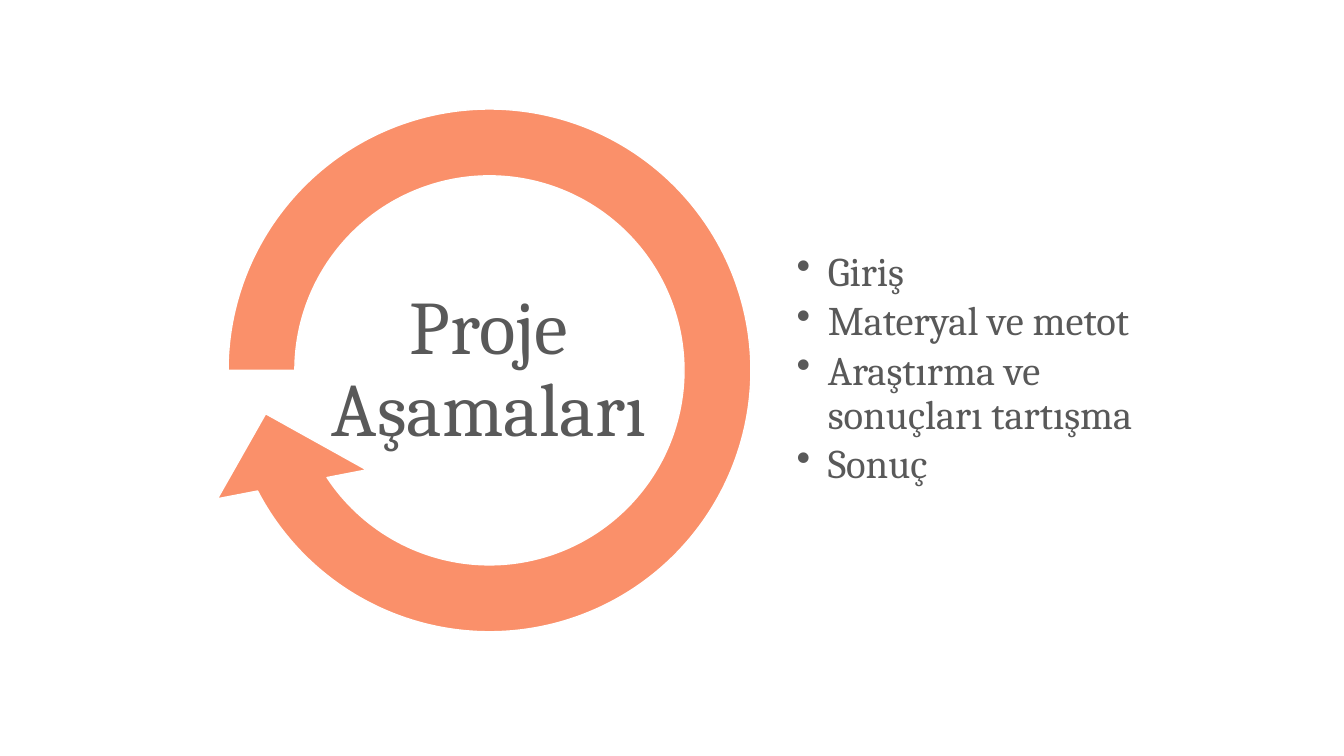
from lxml.etree import SubElement
from pptx import Presentation
from pptx.dml.color import RGBColor
from pptx.enum.shapes import MSO_SHAPE as Shape
from pptx.enum.text import MSO_ANCHOR as Anchor, PP_ALIGN as Align
from pptx.oxml.ns import qn
from pptx.util import Inches, Pt

COLOURS = {"ring": "FA906A", "edge": "FFFFFF", "text": "595959"}
FORMATS = {
    "title": {"name": "Cambria", "size": Pt(54)},
    "list": {"name": "Cambria", "size": Pt(29)},
}
STAGES = ["Giriş", "Materyal ve metot", "Araştırma ve sonuçları tartışma", "Sonuç"]
# Thickness, head angle, end angle, start angle and head width
RING_ADJUSTMENTS = [0.11, 11.42, 90, 108, 0.125]


def colour(name):
    return RGBColor.from_string(COLOURS[name])


def add_ring(page, left, top, size):
    ring = page.shapes.add_shape(
        Shape.CIRCULAR_ARROW, Inches(left), Inches(top), Inches(size), Inches(size))
    for index, value in enumerate(RING_ADJUSTMENTS):
        ring.adjustments[index] = value
    ring.shadow.inherit = False
    ring.fill.solid()
    ring.fill.fore_color.rgb = colour("ring")
    ring.line.color.rgb = colour("edge")
    ring.line.width = Pt(1)


def add_bullet(para):
    properties = para._p.get_or_add_pPr()
    properties.set("marL", str(Inches(0.31)))
    properties.set("indent", str(-Inches(0.31)))
    SubElement(properties, qn("a:buChar"), char="•")


def add_text(page, place, lines, style, margin, align=Align.LEFT, gap=0, bullets=False):
    """Add a vertically centred box with one paragraph for each line."""
    box = page.shapes.add_textbox(*map(Inches, place))
    frame = box.text_frame
    frame.word_wrap = True
    frame.vertical_anchor = Anchor.MIDDLE
    for side in ("left", "top", "right", "bottom"):
        setattr(frame, f"margin_{side}", Inches(margin))
    for index, line in enumerate(lines):
        para = frame.add_paragraph() if index else frame.paragraphs[0]
        para.alignment = align
        para.line_spacing = 0.9
        para.space_after = Pt(gap)
        if bullets:
            add_bullet(para)
        span = para.add_run()
        span.text = line
        for font in (para.font, span.font):
            for key, value in FORMATS[style].items():
                setattr(font, key, value)
            font.color.rgb = colour("text")


def main():
    deck = Presentation()
    deck.slide_width, deck.slide_height = Inches(13.33), Inches(7.5)
    page = deck.slides.add_slide(deck.slide_layouts[6])
    add_ring(page, 1.84, 0.66, 6.03)
    add_text(page, (7.87, 2.46, 3.62, 2.41), STAGES, "list", 0.03, gap=4, bullets=True)
    add_text(page, (3.17, 2.84, 3.36, 1.68), ["Proje Aşamaları"], "title", 0.04,
             align=Align.CENTER)
    deck.save("out.pptx")


if __name__ == "__main__":
    main()
